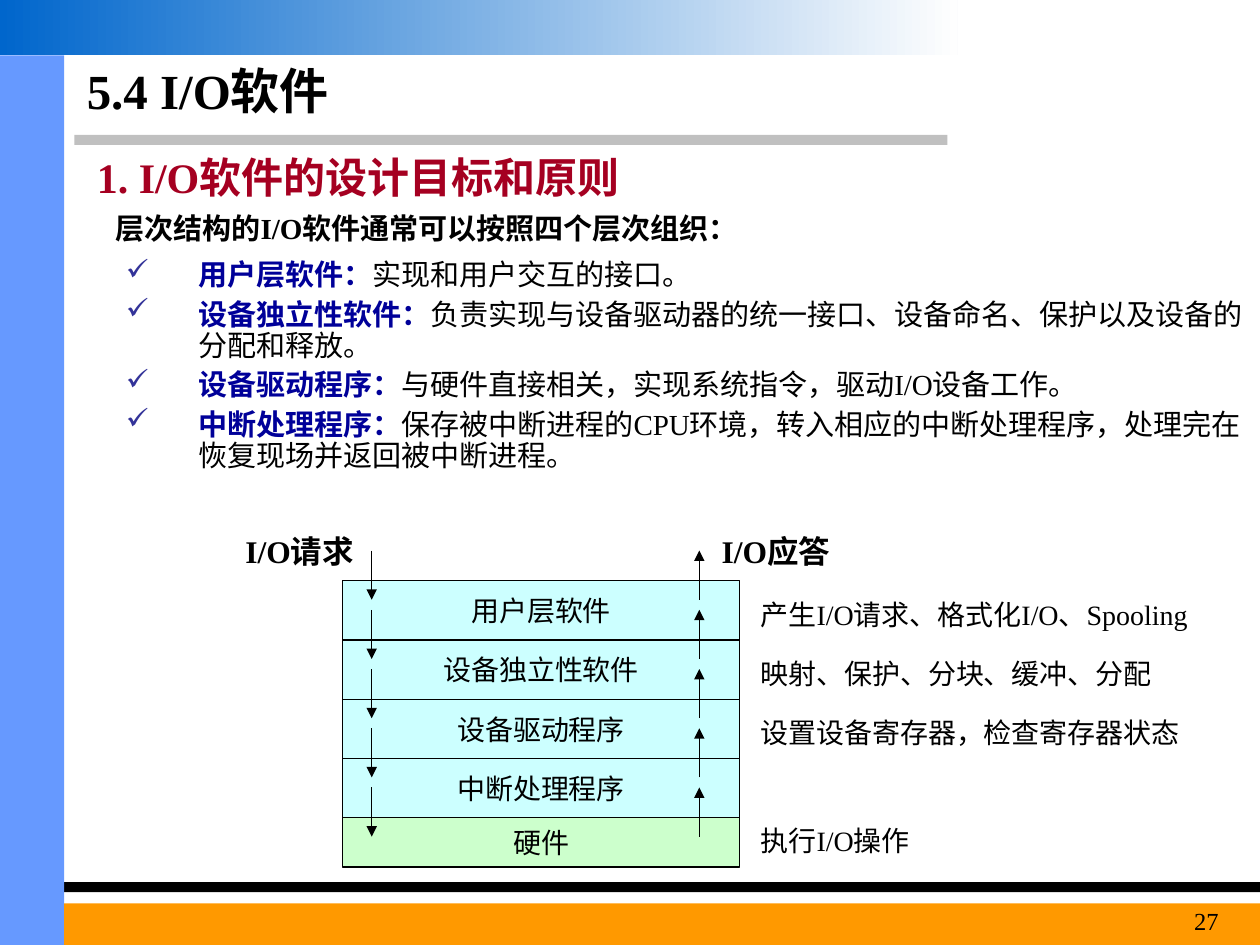
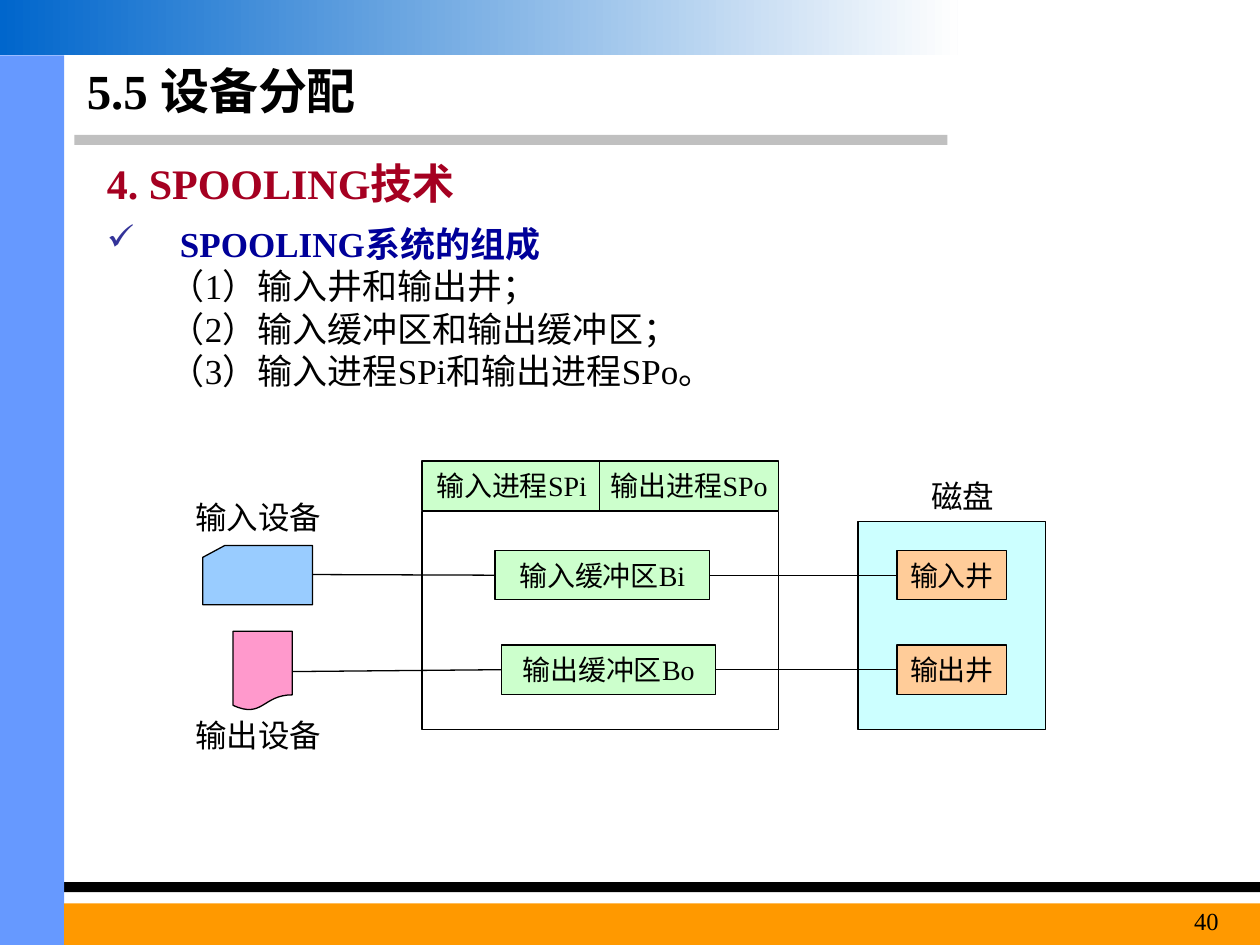
from dataclasses import dataclass

import pptx
import pptx.dml.color
import pptx.enum.shapes
import pptx.enum.text
import pptx.oxml.ns
import pptx.util
from lxml import etree

Inches, Pt = pptx.util.Inches, pptx.util.Pt
SHAPE = pptx.enum.shapes.MSO_SHAPE
ALIGN = pptx.enum.text.PP_ALIGN
ANCHOR = pptx.enum.text.MSO_ANCHOR


@dataclass(frozen=True)
class Theme:
    font: str = "Times New Roman"
    ink: str = "000000"
    heading: str = "A50021"
    term: str = "000099"
    bullet: str = "333399"
    rule: str = "C0C0C0"
    sidebar: str = "6699FF"
    footer: str = "FF9900"
    band_start: str = "0066CC"
    band_end: str = "FEFEFE"
    cyan: str = "CCFFFF"
    green: str = "CCFFCC"
    peach: str = "FFCC99"
    blue: str = "99CCFF"
    pink: str = "FF99CC"
    title_size: float = 28
    heading_size: float = 24
    list_size: float = 20
    label_size: float = 18
    box_size: float = 16
    body_size: float = 16.6
    page_size: float = 14
    line_width: float = 0.75


T = Theme()


def rgb(color):
    return pptx.dml.color.RGBColor.from_string(color)


def add_xml(parent, tag, **attrs):
    return etree.SubElement(parent, pptx.oxml.ns.qn(tag), attrs)


def style_font(font, size, color=T.ink, bold=False):
    font.name = T.font
    font.size = Pt(size)
    font.bold = bold
    font.color.rgb = rgb(color)


def add_box(s, x, y, w, h, fill=None, text="", kind=SHAPE.RECTANGLE, outline=True):
    sp = s.shapes.add_shape(kind, Inches(x), Inches(y), Inches(w), Inches(h))
    sp.shadow.inherit = False
    if fill:
        sp.fill.solid()
        sp.fill.fore_color.rgb = rgb(fill)
    else:
        sp.fill.background()
    if outline:
        sp.line.color.rgb = rgb(T.ink)
        sp.line.width = Pt(T.line_width)
    else:
        sp.line.fill.background()
    if text:
        tf = sp.text_frame
        tf.word_wrap = False
        tf.vertical_anchor = ANCHOR.MIDDLE
        p = tf.paragraphs[0]
        p.text = text
        p.alignment = ALIGN.CENTER
        style_font(p.font, T.box_size)
    return sp


def add_frame(s, x, y, w, h):
    """Add an empty wrapping text box and return its text frame."""
    tf = s.shapes.add_textbox(Inches(x), Inches(y), Inches(w), Inches(h)).text_frame
    tf.word_wrap = True
    return tf


def add_text(s, x, y, w, h, text, size, color=T.ink, bold=False, align=ALIGN.LEFT):
    tf = add_frame(s, x, y, w, h)
    p = tf.paragraphs[0]
    p.text = text
    p.alignment = align
    style_font(p.font, size, color, bold)
    return tf


def add_item(tf, first, spacing, before, margin, indent, bullet=False):
    """Add a list paragraph with a hanging indent and an optional check mark."""
    p = tf.paragraphs[0] if first else tf.add_paragraph()
    pPr = p._p.get_or_add_pPr()
    pPr.set("marL", str(Inches(margin)))
    pPr.set("indent", str(Inches(indent)))
    if bullet:
        add_xml(add_xml(pPr, "a:buClr"), "a:srgbClr", val=T.bullet)
        add_xml(pPr, "a:buChar", char="✓")
    p.line_spacing = spacing
    if not first:
        p.space_before = Pt(before)
    return p


def add_line(s, x1, y1, x2, y2, arrow=False):
    cn = s.shapes.add_connector(pptx.enum.shapes.MSO_CONNECTOR.STRAIGHT,
                                Inches(x1), Inches(y1), Inches(x2), Inches(y2))
    cn.line.color.rgb = rgb(T.ink)
    cn.line.width = Pt(T.line_width)
    if arrow:
        add_xml(cn.line._get_or_add_ln(), "a:tailEnd", type="triangle")
    add_xml(cn._element.spPr, "a:effectLst")


def add_base_slide(prs, title, page):
    """Add a slide with the shared bands, title and page number."""
    s = prs.slides.add_slide(prs.slide_layouts[6])
    for x, y, w, h, color in [
        (0.59, 1.07, 6.93, 0.08, T.rule),
        (0, 7, 10, 0.08, T.ink),
        (0, 0.44, 0.51, 7.06, T.sidebar),
        (0.51, 7.17, 9.49, 0.33, T.footer),
    ]:
        add_box(s, x, y, w, h, color, outline=False)
    band = add_box(s, 0, 0, 7.6, 0.44, outline=False)
    band.fill.gradient()
    band.fill.gradient_angle = 0
    for stop, color in zip(band.fill.gradient_stops, (T.band_start, T.band_end)):
        stop.color.rgb = rgb(color)
    tf = add_text(s, 0.59, 0.44, 6.85, 0.55, title, T.title_size, bold=True)
    tf.vertical_anchor = ANCHOR.MIDDLE
    add_text(s, 8.86, 7.14, 0.91, 0.36, str(page), T.page_size, align=ALIGN.RIGHT)
    return s


def add_heading(s, x, y, text):
    add_text(s, x, y, 8.9, 0.5, text, T.heading_size, T.heading, bold=True)


def add_layer_stack(s):
    """Draw the software layers with request and reply arrows."""
    x, y, w = 2.72, 4.61, 3.15
    layers = [
        ("用户层软件", T.cyan, 0.47, "产生I/O请求、格式化I/O、Spooling"),
        ("设备独立性软件", T.cyan, 0.47, "映射、保护、分块、缓冲、分配"),
        ("设备驱动程序", T.cyan, 0.47, "设置设备寄存器，检查寄存器状态"),
        ("中断处理程序", T.cyan, 0.47, ""),
        ("硬件", T.green, 0.39, "执行I/O操作"),
    ]
    arrows = []
    for name, fill, h, note in layers:
        add_box(s, x, y, w, h, fill, name)
        if note:
            add_text(s, 5.94, y + h - 0.39, 3.94, 0.37, note, T.box_size)
        arrows.append((y - 0.24, y + 0.15))
        y += h
    for top, bottom in arrows:
        add_line(s, 2.95, top, 2.95, bottom, arrow=True)
        add_line(s, 5.55, bottom, 5.55, top, arrow=True)
    for label_x, label in [(1.85, "I/O请求"), (5.63, "I/O应答")]:
        add_text(s, label_x, 4.17, 1.4, 0.4, label, T.label_size, bold=True)


def build_io_software(prs):
    s = add_base_slide(prs, "5.4 I/O软件", 27)
    add_heading(s, 0.67, 1.15, "1. I/O软件的设计目标和原则")
    tf = add_text(s, 0.82, 1.7, 8.5, 0.31, "层次结构的I/O软件通常可以按照四个层次组织：",
                  T.body_size, bold=True)
    tf.paragraphs[0].line_spacing = 0.7

    tf = add_frame(s, 0.9, 2.02, 9.1, 2.05)
    for i, (term, meaning) in enumerate([
        ("用户层软件：", "实现和用户交互的接口。"),
        ("设备独立性软件：", "负责实现与设备驱动器的统一接口、设备命名、保护以及设备的分配和释放。"),
        ("设备驱动程序：", "与硬件直接相关，实现系统指令，驱动I/O设备工作。"),
        ("中断处理程序：", "保存被中断进程的CPU环境，转入相应的中断处理程序，"
                     "处理完在恢复现场并返回被中断进程。"),
    ]):
        p = add_item(tf, i == 0, 0.9, 4.5, 0.58, -0.58, bullet=True)
        for text, color, bold in [(term, T.term, True), (meaning, T.ink, False)]:
            r = p.add_run()
            r.text = text
            style_font(r.font, T.body_size, color, bold)
    add_layer_stack(s)


def add_spooling_diagram(s):
    add_box(s, 3.35, 4.06, 2.83, 1.73)
    add_box(s, 6.81, 4.14, 1.49, 1.65, T.cyan)
    for x, name in [(3.35, "输入进程SPi"), (4.76, "输出进程SPo")]:
        add_box(s, x, 3.66, 1.42, 0.39, T.green, name)
    add_box(s, 1.61, 4.33, 0.87, 0.47, T.blue, kind=SHAPE.FLOWCHART_CARD)
    add_box(s, 1.85, 5.01, 0.47, 0.63, T.pink, kind=SHAPE.FLOWCHART_DOCUMENT)

    buffer_w, well_x, h = 1.7, 7.12, 0.39
    for y, device_x, device_y, buffer_x, buffer, well in [
        (4.37, 2.48, 4.56, 3.93, "输入缓冲区Bi", "输入井"),
        (5.12, 2.32, 5.33, 3.98, "输出缓冲区Bo", "输出井"),
    ]:
        middle = y + h / 2
        add_box(s, buffer_x, y, buffer_w, h, T.green, buffer)
        add_box(s, well_x, y, 0.87, h, T.peach, well)
        add_line(s, device_x, device_y, buffer_x, middle)
        add_line(s, buffer_x + buffer_w, middle, well_x, middle)
    for x, y, label in [(1.38, 3.9, "输入设备"), (1.38, 5.63, "输出设备"), (6.97, 3.74, "磁盘")]:
        add_text(s, x, y, 1.34, 0.4, label, T.label_size, align=ALIGN.CENTER)


def build_spooling(prs):
    s = add_base_slide(prs, "5.5 设备分配", 40)
    add_heading(s, 0.75, 1.2, "4. SPOOLING技术")
    tf = add_frame(s, 0.75, 1.78, 9.06, 1.5)
    p = add_item(tf, True, 0.8, 5, 0.58, -0.58, bullet=True)
    p.text = "SPOOLING系统的组成"
    style_font(p.font, T.list_size, T.term, bold=True)
    for text in ["（1）输入井和输出井；", "（2）输入缓冲区和输出缓冲区；",
                 "（3）输入进程SPi和输出进程SPo。"]:
        p = add_item(tf, False, 0.8, 5, 1, -0.5)
        p.level = 1
        p.text = text
        style_font(p.font, T.list_size)
    add_spooling_diagram(s)


def main():
    prs = pptx.Presentation()
    prs.slide_width, prs.slide_height = Inches(10), Inches(7.5)
    build_io_software(prs)
    build_spooling(prs)
    prs.save("out.pptx")


if __name__ == "__main__":
    main()
